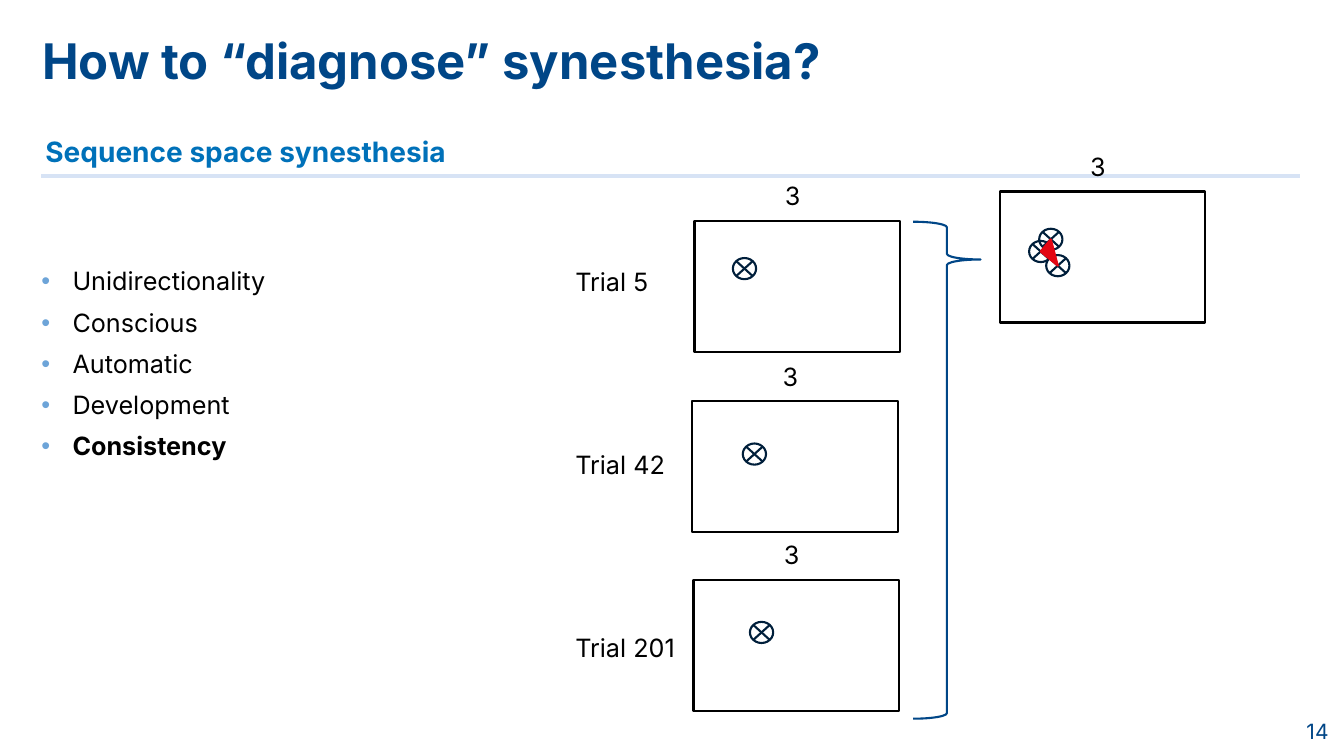
import pptx
import pptx.util
import pptx.dml.color
import pptx.enum.shapes
import pptx.enum.text
import pptx.oxml
import pptx.oxml.ns

Pt = pptx.util.Pt
SHAPES = pptx.enum.shapes.MSO_SHAPE
ALIGN = pptx.enum.text.PP_ALIGN
ANCHOR = pptx.enum.text.MSO_ANCHOR

FONT = "Inter"
COLOURS = {
    "navy": "004687", "blue": "0071B9", "bullet": "6DA4D8", "rule": "D7E3F5",
    "ink": "001F3B", "black": "000000", "white": "FFFFFF", "red": "E30613",
}
PANEL_WIDTH, PANEL_HEIGHT = 146.9, 93.6
MARK_WIDTH, MARK_HEIGHT = 16.6, 15.1
TOPICS = ["Unidirectionality", "Conscious", "Automatic", "Development", "Consistency"]
# Label, panel left and top, response offset inside the panel
TRIALS = [
    ("Trial 5", 496.1, 157.7, (27.4, 26.6)),
    ("Trial 42", 494.6, 286.6, (36, 30.2)),
    ("Trial 201", 495.4, 414, (40.3, 30.2)),
]
TRIAL_LABEL_TOP, TRIAL_LABEL_PITCH = 186.5, 130.7
SUMMARY_LEFT, SUMMARY_TOP = 714.2, 136.8
SUMMARY_RESPONSES = [(28.1, 26.6), (20.9, 35.3), (33.1, 45.4)]


def colour(name):
    return pptx.dml.color.RGBColor.from_string(COLOURS[name])


def add_span(para, text, size, ink, bold=False):
    span = para.add_run()
    span.text = text
    span.font.name = FONT
    span.font.size = Pt(size)
    span.font.bold = bold
    span.font.color.rgb = colour(ink)


def add_frame(page, left, top, width, height, inset=(0, 0)):
    """Add a wrapping text box and return its text frame."""
    box = page.shapes.add_textbox(Pt(left), Pt(top), Pt(width), Pt(height))
    frame = box.text_frame
    frame.word_wrap = True
    frame.margin_left = frame.margin_right = Pt(inset[0])
    frame.margin_top = frame.margin_bottom = Pt(inset[1])
    return frame


def add_heading(page, text, left, top, height, size, ink):
    para = add_frame(page, left, top, 899.3, height).paragraphs[0]
    para.line_spacing = 0.9
    add_span(para, text, size, ink, bold=True)


def add_label(page, text, left, top, width):
    frame = add_frame(page, left, top, width, 28.8, inset=(7.2, 3.6))
    add_span(frame.paragraphs[0], text, 18, "black")


def add_page_number(page, number):
    frame = add_frame(page, 838.8, 512.6, 110.2, 18.7)
    frame.vertical_anchor = ANCHOR.MIDDLE
    frame.paragraphs[0].alignment = ALIGN.RIGHT
    add_span(frame.paragraphs[0], number, 15, "navy")


def add_bullet(para):
    properties = para._p.get_or_add_pPr()
    properties.set("marL", str(Pt(22.3)))
    properties.set("indent", str(-Pt(22.3)))
    namespace = pptx.oxml.ns.nsdecls("a")
    for element in (
        f'<a:buClr {namespace}><a:srgbClr val="{COLOURS["bullet"]}"/></a:buClr>',
        f'<a:buFont {namespace} typeface="Arial"/>',
        f'<a:buChar {namespace} char="•"/>',
    ):
        properties.append(pptx.oxml.parse_xml(element))


def add_topics(page):
    frame = add_frame(page, 29.5, 192.2, 434.2, 316.1)
    for index, topic in enumerate(TOPICS):
        para = frame.add_paragraph() if index else frame.paragraphs[0]
        add_bullet(para)
        para.line_spacing = 0.9
        para.space_before = Pt(10 if index else 0)
        add_span(para, topic, 18, "black", bold=topic == "Consistency")


def paint(shape, line, fill=None):
    shape.shadow.inherit = False
    shape.line.color.rgb = colour(line)
    shape.line.width = Pt(1.5)
    if fill:
        shape.fill.solid()
        shape.fill.fore_color.rgb = colour(fill)
    else:
        shape.fill.background()


def add_figure(page, kind, left, top, width, height, line, fill=None):
    shape = page.shapes.add_shape(kind, Pt(left), Pt(top), Pt(width), Pt(height))
    paint(shape, line, fill)
    return shape


def add_rule(page):
    rule = page.shapes.add_connector(
        pptx.enum.shapes.MSO_CONNECTOR.STRAIGHT, Pt(29.5), Pt(126), Pt(928.8), Pt(126))
    rule.line.color.rgb = colour("rule")
    rule.line.width = Pt(2.75)
    effects = f'<a:effectLst {pptx.oxml.ns.nsdecls("a")}/>'
    rule._element.spPr.append(pptx.oxml.parse_xml(effects))


def add_panel(page, left, top, responses):
    """Add a screen headed by its stimulus, with a crossed circle per response."""
    add_figure(page, SHAPES.RECTANGLE, left, top, PANEL_WIDTH, PANEL_HEIGHT,
               "black", "white")
    add_label(page, "3", left + 57.4, top - 32.4, 51.8)
    for across, down in responses:
        add_figure(page, SHAPES.FLOWCHART_SUMMING_JUNCTION, left + across, top + down,
                   MARK_WIDTH, MARK_HEIGHT, "ink")


def add_response_triangle(page):
    """Join the centres of the summary responses."""
    centres = [
        (Pt(SUMMARY_LEFT + across + MARK_WIDTH / 2),
         Pt(SUMMARY_TOP + down + MARK_HEIGHT / 2))
        for across, down in SUMMARY_RESPONSES
    ]
    builder = page.shapes.build_freeform(*centres[0])
    builder.add_line_segments(centres[1:], close=True)
    paint(builder.convert_to_shape(), "red", "red")


def add_brace(page):
    brace = add_figure(page, SHAPES.RIGHT_BRACE, 652.3, 158.4, 48.2, 355, "navy")
    brace.adjustments[0] = 0.083
    brace.adjustments[1] = 0.076


def main():
    deck = pptx.Presentation()
    deck.slide_width, deck.slide_height = Pt(960), Pt(540)
    page = deck.slides.add_slide(deck.slide_layouts[6])

    add_rule(page)
    add_heading(page, "How to “diagnose” synesthesia?", 30.2, 26.6, 85, 35, "navy")
    add_heading(page, "Sequence space synesthesia", 32.4, 98.6, 55.4, 20, "blue")
    add_page_number(page, "14")
    add_topics(page)
    add_brace(page)
    for index, (label, left, top, response) in enumerate(TRIALS):
        add_panel(page, left, top, [response])
        label_top = TRIAL_LABEL_TOP + index * TRIAL_LABEL_PITCH
        add_label(page, label, 403.9, label_top, 123.8)
    add_panel(page, SUMMARY_LEFT, SUMMARY_TOP, SUMMARY_RESPONSES)
    add_response_triangle(page)

    deck.save("out.pptx")


if __name__ == "__main__":
    main()
